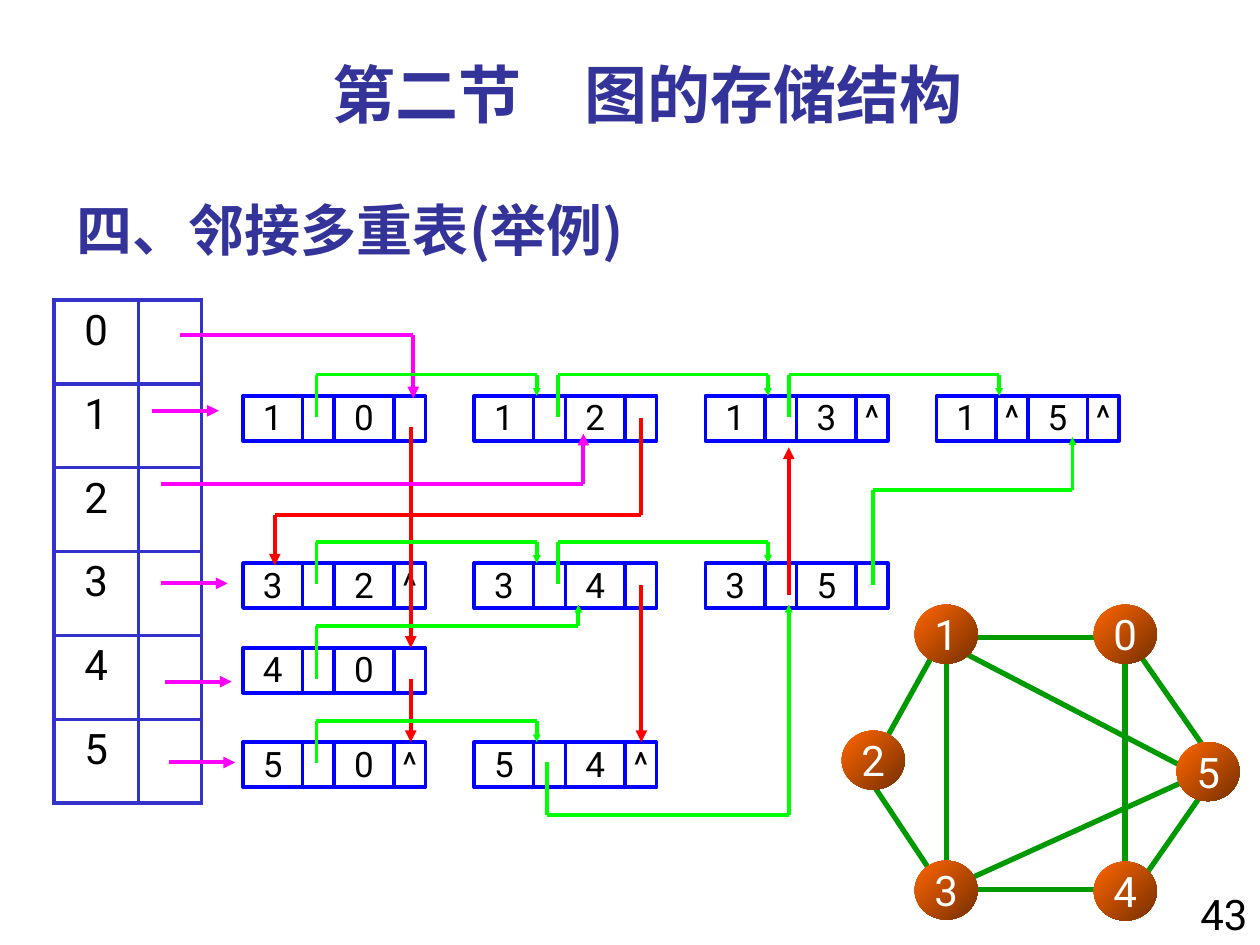
from pptx import Presentation
from pptx.dml.color import RGBColor
from pptx.enum.shapes import MSO_CONNECTOR, MSO_SHAPE
from pptx.enum.text import MSO_ANCHOR, PP_ALIGN
from pptx.oxml.ns import qn
from pptx.util import Cm, Pt
from lxml import etree

LINE = MSO_CONNECTOR.STRAIGHT
RECT, OVAL = MSO_SHAPE.RECTANGLE, MSO_SHAPE.OVAL
TOP, MID, LOW = MSO_ANCHOR.TOP, MSO_ANCHOR.MIDDLE, MSO_ANCHOR.BOTTOM
LEFT, MIDST, RIGHT = PP_ALIGN.LEFT, PP_ALIGN.CENTER, PP_ALIGN.RIGHT
HAN, LATIN = "Noto Sans CJK SC", "Roboto"
NAVY, BLACK, WHITE = "333399", "000000", "FFFFFF"
BLUE, RIM = "0000FF", "3333CC"
GREEN, RED, PINK, LEAF = "00FF00", "FF0000", "FF00FF", "009900"


def color(code):
    return RGBColor.from_string(code)


def write(frame, words, size=24, font=LATIN, ink=BLACK, bold=False, align=MIDST, anchor=TOP, inset=None):
    frame.word_wrap = True
    frame.vertical_anchor = anchor
    if inset is not None:
        frame.margin_left = frame.margin_right = Cm(inset)
        frame.margin_top = frame.margin_bottom = Cm(inset)
    par = frame.paragraphs[0]
    par.alignment = align
    run = par.add_run()
    run.text = words
    run.font.size = Pt(size)
    run.font.name = font
    run.font.bold = bold
    run.font.color.rgb = color(ink)
    etree.SubElement(run.font._element, qn("a:ea")).set("typeface", HAN)


deck = Presentation()
deck.slide_width, deck.slide_height = Cm(25.4), Cm(19.05)
slide = deck.slides.add_slide(deck.slide_layouts[6])
shapes = slide.shapes

heads = [
    ("四、邻接多重表(举例)", (1.3, 3.53, 20.96, 1.9), dict(size=32, font=HAN, ink=NAVY, bold=True, align=LEFT, anchor=LOW)),
    ("43", (23.7, 17.78, 1.7, 1.27), dict(align=RIGHT)),
    ("第二节　图的存储结构", (1.3, 0.99, 23.5, 1.78), dict(size=36, ink=NAVY, bold=True)),
]
for words, area, style in heads:
    box = shapes.add_textbox(*map(Cm, area))
    write(box.text_frame, words, **style)

table = shapes.add_table(6, 2, Cm(1.09), Cm(6.05), Cm(2.97), Cm(10.16)).table
table.first_row = table.horz_banding = False
table.columns[0].width, table.columns[1].width = Cm(1.7), Cm(1.27)
for num, row in enumerate(table.rows):
    row.height = Cm(1.69)
    for cell in row.cells:
        props = cell._tc.get_or_add_tcPr()
        for side in ("lnL", "lnR", "lnT", "lnB"):
            edge = etree.SubElement(props, qn("a:" + side), w=str(Pt(2.25)))
            fill = etree.SubElement(edge, qn("a:solidFill"))
            etree.SubElement(fill, qn("a:srgbClr"), val=RIM)
        cell.fill.background()
    write(row.cells[0].text_frame, str(num))

tops = [7.98, 11.35, 13.06, 14.96]
nodes = [
    (0, 0, ["1", "", "0", ""]), (1, 0, ["1", "", "2", ""]),
    (2, 0, ["1", "", "3", "^"]), (3, 0, ["1", "^", "5", "^"]),
    (0, 1, ["3", "", "2", "^"]), (1, 1, ["3", "", "4", ""]),
    (2, 1, ["3", "", "5", ""]), (0, 2, ["4", "", "0", ""]),
    (0, 3, ["5", "", "0", "^"]), (1, 3, ["5", "", "4", "^"]),
]
for col, row, marks in nodes:
    left = 4.9 + 4.66 * col
    for mark, wide in zip(marks, [1.2, 0.64, 1.2, 0.64]):
        box = shapes.add_shape(RECT, Cm(left), Cm(tops[row]), Cm(wide), Cm(0.91))
        box.shadow.inherit = False
        box.fill.background()
        box.line.color.rgb = color(BLUE)
        box.line.width = Pt(2)
        if mark:
            write(box.text_frame, mark, size=20, inset=0)
        left += wide

routes = [
    (RED, [(8.28, 13.69), (8.28, 14.96)]),
    (RED, [(8.28, 8.61), (8.28, 13.06)]),
    (RED, [(12.93, 8.43), (12.93, 10.39), (5.54, 10.39), (5.54, 11.4)]),
    (RED, [(15.9, 11.99), (15.9, 9.02)]),
    (RED, [(12.93, 11.79), (12.93, 14.96)]),
    (PINK, [(3.25, 9.75), (11.76, 9.75), (11.76, 8.74)]),
    (PINK, [(3.63, 6.76), (8.33, 6.76), (8.33, 8.03)]),
    (GREEN, [(6.38, 13.69), (6.38, 12.62), (11.66, 12.62), (11.66, 12.19)]),
    (GREEN, [(11.02, 15.37), (11.02, 16.43), (15.9, 16.43), (15.9, 12.19)]),
    (GREEN, [(17.6, 11.79), (17.6, 9.88), (21.62, 9.88), (21.62, 8.81)]),
]
for x, y in [(3.07, 8.28), (3.25, 11.76), (3.33, 13.74), (3.4, 15.37)]:
    routes.append((PINK, [(x, y), (x + 1.34, y)]))
starts = [6.38, 11.25, 15.9]
for col, row in [(0, 0), (1, 0), (2, 0), (0, 1), (1, 1), (0, 3)]:
    x, end, y = starts[col], 10.82 + 4.66 * col, tops[row]
    routes.append((GREEN, [(x, y + 0.42), (x, y - 0.43), (end, y - 0.43), (end, y)]))
edges = [
    (22.25, 12.85, 19.71, 12.85), (22.68, 13.28, 22.68, 17.53),
    (22.89, 13.08, 24.36, 15.19), (18.87, 13.08, 17.81, 14.99),
    (19.08, 17.73, 19.08, 13.28), (24.16, 15.62, 19.28, 13.08),
    (18.87, 17.73, 17.6, 15.82), (22.45, 17.93, 19.28, 17.93),
    (24.16, 15.62, 19.51, 17.73), (24.36, 15.82, 22.89, 17.93),
]
for x, y, end, low in edges:
    routes.append((LEAF, [(x, y), (end, low)]))

for ink, dots in routes:
    for start, end in zip(dots, dots[1:]):
        link = shapes.add_connector(LINE, *map(Cm, start + end))
        link.line.color.rgb = color(ink)
        link.line.width = Pt(3 if ink == LEAF else 2.25)
        if end == dots[-1] and ink != LEAF:
            size = "sm" if ink == GREEN else "med"
            etree.SubElement(link.line._get_or_add_ln(), qn("a:tailEnd"), type="triangle", w=size, len=size)
        etree.SubElement(link._element.spPr, qn("a:effectLst"))

balls = [
    ("1", 18.44, 12.19), ("3", 18.44, 17.35), ("2", 16.97, 14.73),
    ("5", 23.72, 14.96), ("4", 22.05, 17.37), ("0", 22.05, 12.19),
]
for mark, x, y in balls:
    ball = shapes.add_shape(OVAL, Cm(x), Cm(y), Cm(1.27), Cm(1.19))
    ball.shadow.inherit = False
    ball.line.fill.background()
    ball.fill.gradient()
    ball.fill.gradient_angle = 315
    for stop, (ink, place) in zip(ball.fill.gradient_stops, [("FF6600", 0), ("762F00", 1)]):
        stop.color.rgb = color(ink)
        stop.position = place
    write(ball.text_frame, mark, ink=WHITE, anchor=MID, inset=0)

deck.save("out.pptx")
